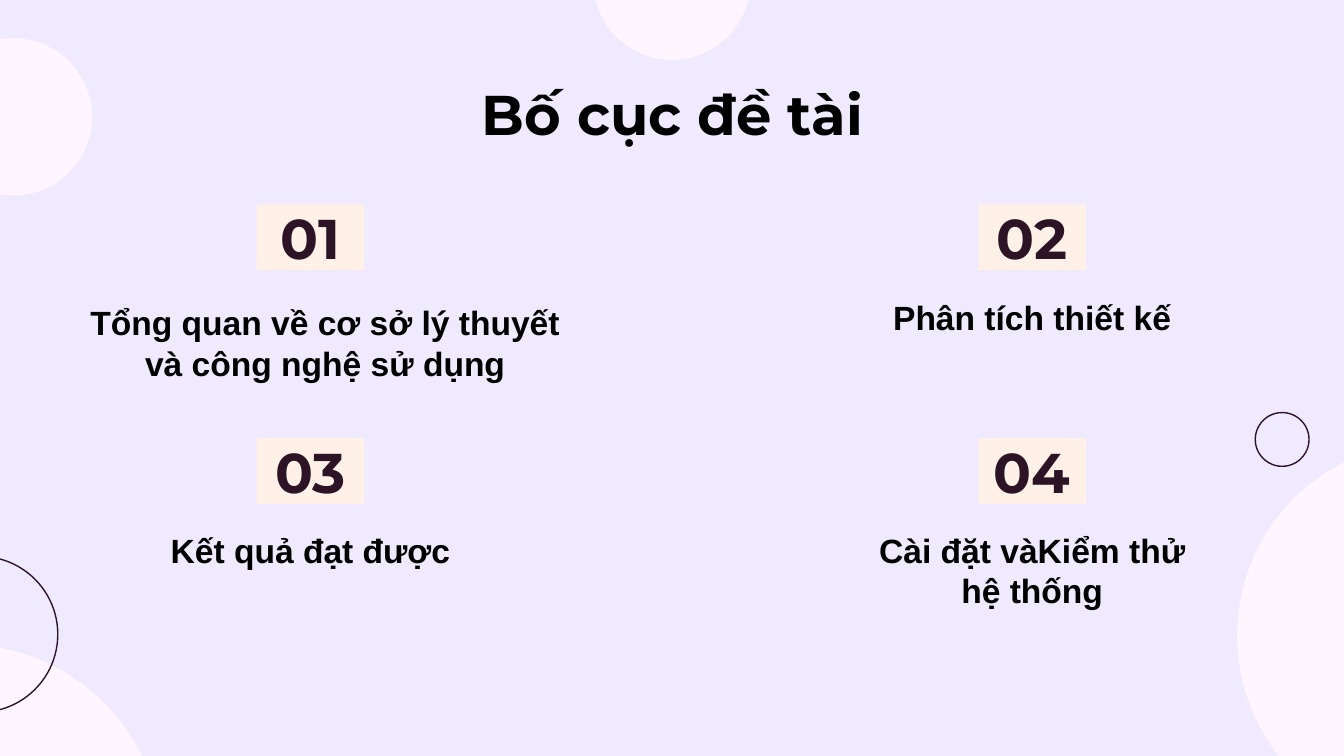
from pptx import Presentation
from pptx.dml.color import RGBColor
from pptx.enum.shapes import MSO_SHAPE
from pptx.enum.text import MSO_ANCHOR, PP_ALIGN
from pptx.util import Inches, Pt

WIDE = 10
HIGH = WIDE * 9 / 16
COLORS = {
    "back": "F0EAFE",
    "blob": "FFF5FE",
    "badge": "FFF1E7",
    "dark": "2C1426",
    "text": "000000",
}
BLOBS = [(-1.75, 4.8, 2.95), (9.21, 3.29, 2.88), (-0.48, 0.29, 1.16), (4.42, -0.72, 1.16)]
RINGS = [(-0.73, 4.14, 1.16), (9.34, 3.07, 0.4)]
LEFT, TOP = 1.05, 1.52
STEP_X, STEP_Y = 5.37, 1.74
CELL_W, CELL_H = 2.52, 1.07
TOPICS = [
    ("Tổng quan về cơ sở lý thuyết và công nghệ sử dụng", (0.11, 0.05, 3.7)),
    ("Phân tích thiết kế", (0, 0.01, CELL_W)),
    ("Kết quả đạt được", (0, 0, CELL_W)),
    ("Cài đặt vàKiểm thử hệ thống", (0, 0, CELL_W)),
]


def color(name):
    return RGBColor.from_string(COLORS[name])


def inches(box):
    return [Inches(side) for side in box]


def write(shape, text, size, face, tint, anchor=MSO_ANCHOR.TOP):
    frame = shape.text_frame
    frame.word_wrap = True
    frame.vertical_anchor = anchor
    frame.margin_left = frame.margin_right = Inches(0.1)
    frame.margin_top = frame.margin_bottom = Inches(0.1)
    para = frame.paragraphs[0]
    para.text = text
    para.alignment = PP_ALIGN.CENTER
    para.font.size = Pt(size)
    para.font.name = face
    para.font.bold = True
    para.font.color.rgb = color(tint)


def add_label(slide, box, text, size, face):
    write(slide.shapes.add_textbox(*inches(box)), text, size, face, "text")


def add_shape(slide, kind, box, fill=None, line=None):
    shape = slide.shapes.add_shape(kind, *inches(box))
    shape.shadow.inherit = False
    if fill:
        shape.fill.solid()
        shape.fill.fore_color.rgb = color(fill)
    else:
        shape.fill.background()
    if line:
        shape.line.color.rgb = color(line)
        shape.line.width = Pt(0.75)
    else:
        shape.line.fill.background()
    return shape


def add_decor(slide):
    for x, y, size in BLOBS:
        add_shape(slide, MSO_SHAPE.OVAL, (x, y, size, size), "blob", "blob")
    for x, y, size in RINGS:
        add_shape(slide, MSO_SHAPE.OVAL, (x, y, size, size), line="dark")


def add_topic(slide, box, number, text, shift):
    x, y, w, h = box
    badge_w, part_h = 0.8, 0.49
    badge = add_shape(slide, MSO_SHAPE.RECTANGLE,
                      (x + (w - badge_w) / 2, y, badge_w, part_h), "badge")
    write(badge, f"{number:02}", 30, "Montserrat", "dark", MSO_ANCHOR.MIDDLE)
    dx, dy, text_w = shift
    place = (x + (w - text_w) / 2 + dx, y + h - part_h + dy, text_w, part_h)
    add_label(slide, place, text, 18, "Arial")


def main():
    deck = Presentation()
    deck.slide_width, deck.slide_height = inches((WIDE, HIGH))
    slide = deck.slides.add_slide(deck.slide_layouts[6])
    slide.background.fill.solid()
    slide.background.fill.fore_color.rgb = color("back")
    add_decor(slide)
    add_label(slide, (0.79, 0.49, 8.43, 0.63), "Bố cục đề tài", 30, "Montserrat")
    for index, (text, shift) in enumerate(TOPICS):
        row, col = divmod(index, 2)
        box = (LEFT + col * STEP_X, TOP + row * STEP_Y, CELL_W, CELL_H)
        add_topic(slide, box, index + 1, text, shift)
    deck.save("out.pptx")


if __name__ == "__main__":
    main()
